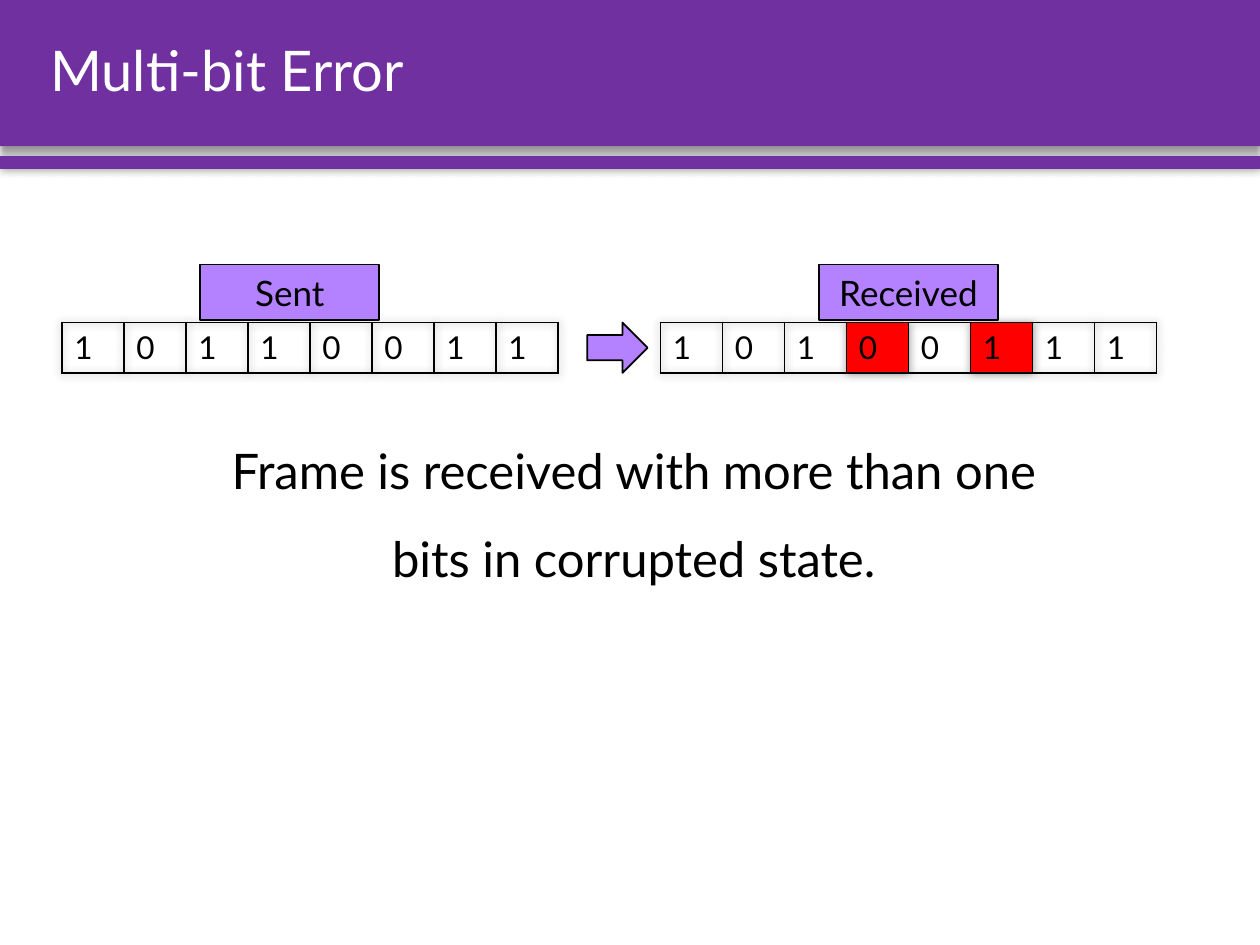
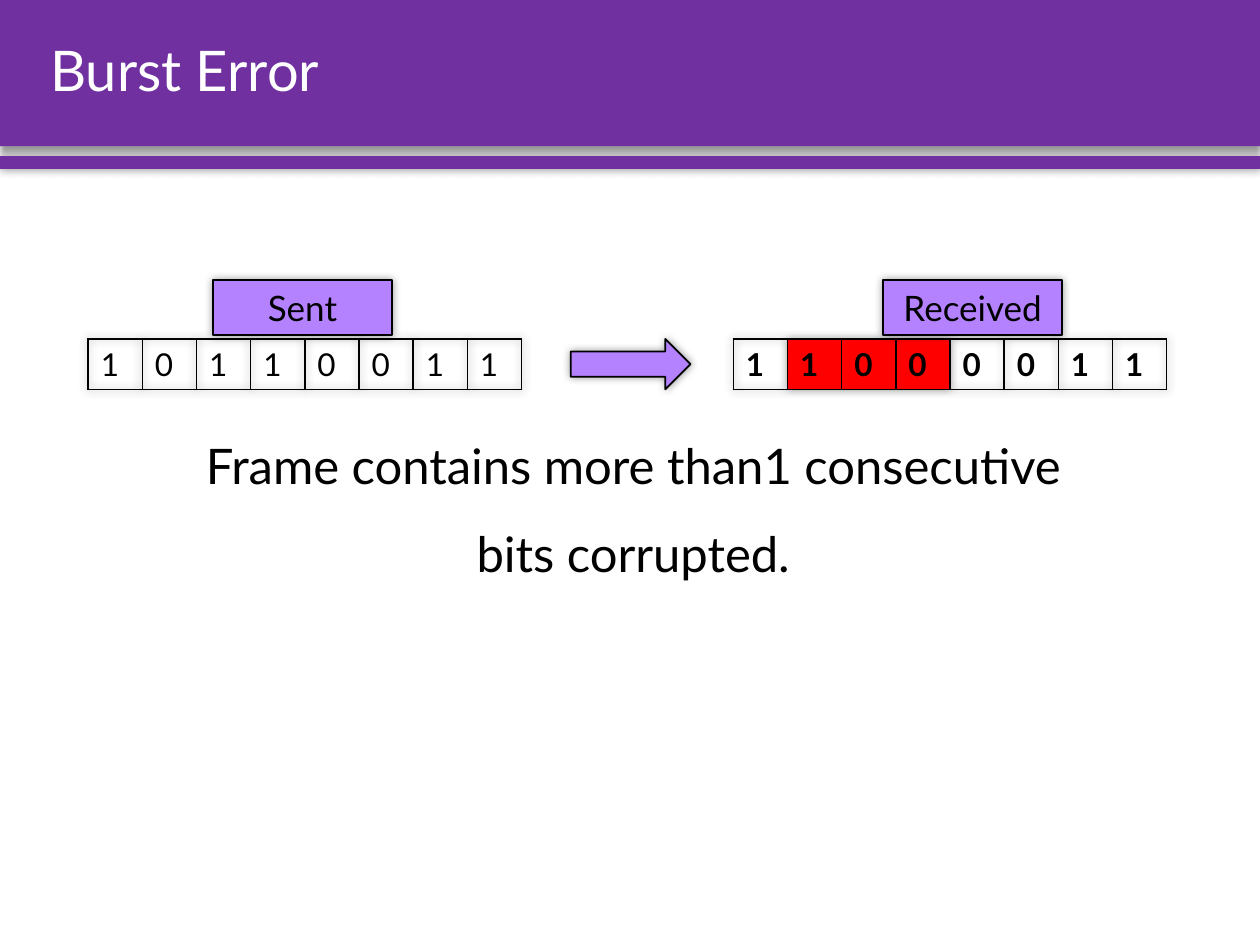
from lxml import etree
from pptx import Presentation
from pptx.dml.color import RGBColor
from pptx.enum.shapes import MSO_SHAPE
from pptx.enum.text import MSO_ANCHOR, PP_ALIGN
from pptx.oxml import parse_xml
from pptx.oxml.ns import nsdecls, qn
from pptx.util import Inches, Pt

RECTANGLE, ARROW = MSO_SHAPE.RECTANGLE, MSO_SHAPE.RIGHT_ARROW
LEFT, CENTER = PP_ALIGN.LEFT, PP_ALIGN.CENTER
TOP, MIDDLE = MSO_ANCHOR.TOP, MSO_ANCHOR.MIDDLE

PURPLE = RGBColor(0x70, 0x30, 0xA0)
LILAC = RGBColor(0xB4, 0x81, 0xFF)
RED = RGBColor(0xFF, 0x00, 0x00)
BLACK = RGBColor(0x00, 0x00, 0x00)
WHITE = RGBColor(0xFF, 0xFF, 0xFF)
FONT = "Lato"

SLIDE_WIDTH, SLIDE_HEIGHT = 10, 7.5
HEADER_HEIGHT = 1.16
STRIPE_TOP, STRIPE_HEIGHT = 1.24, 0.1
ROW_HEIGHT = 0.4
LABEL_WIDTH, LABEL_HEIGHT = 1.42, 0.44

# Shadows: blur and distance in points, direction in degrees
SOFT_SHADOW = (5, 0, 0)
HEADER_SHADOW = (4, 3, 90)

# A frame is: label, label left, table left, bits, corrupted positions, bold
SLIDES = [
    {
        "title": "Multi-bit Error",
        "frames": [
            ("Sent", 1.59, 0.49, "10110011", (), False),
            ("Received", 6.5, 5.24, "10100111", (3, 5), False),
        ],
        "label_top": 2.1, "row_top": 2.56, "bit_width": 0.4925,
        "arrow": (4.66, 0.48), "shadow": None,
        "caption": "Frame is received with more than one bits in corrupted state.",
        "caption_box": (1.4, 3.21, 7.26, 1.44),
    },
    {
        "title": "Burst Error",
        "frames": [
            ("Sent", 1.69, 0.7, "10110011", (), False),
            ("Received", 7.01, 5.82, "11000011", (1, 2, 3), True),
        ],
        "label_top": 2.22, "row_top": 2.69, "bit_width": 0.43,
        "arrow": (4.53, 0.95), "shadow": SOFT_SHADOW,
        "caption": "Frame contains more than1 consecutive bits corrupted.",
        "caption_box": (1.42, 3.17, 7.21, 1.44),
    },
]


def effect_list(blur, distance, direction):
    return parse_xml(
        f'<a:effectLst {nsdecls("a")}><a:outerShdw blurRad="{Pt(blur)}" '
        f'dist="{Pt(distance)}" dir="{direction * 60000}" algn="ctr" rotWithShape="0">'
        '<a:srgbClr val="000000"><a:alpha val="40000"/></a:srgbClr>'
        '</a:outerShdw></a:effectLst>')


def write(frame, text, size, color=BLACK, bold=False, align=LEFT,
          anchor=TOP, spacing=None):
    frame.word_wrap = True
    frame.vertical_anchor = anchor
    paragraph = frame.paragraphs[0]
    paragraph.alignment = align
    paragraph.line_spacing = spacing
    run = paragraph.add_run()
    run.text = text
    run.font.name, run.font.size, run.font.bold = FONT, Pt(size), bold
    run.font.color.rgb = color


def add_text(slide, box, text, size, **text_format):
    textbox = slide.shapes.add_textbox(*map(Inches, box))
    write(textbox.text_frame, text, size, **text_format)


def add_block(slide, kind, box, fill, line=None, shadow=None):
    shape = slide.shapes.add_shape(kind, *map(Inches, box))
    shape.fill.solid()
    shape.fill.fore_color.rgb = fill
    if line is None:
        shape.line.fill.background()
    else:
        shape.line.color.rgb = line
        shape.line.width = Pt(1)
    shape.shadow.inherit = False
    if shadow:
        empty = shape.element.spPr.find(qn("a:effectLst"))
        empty.getparent().replace(empty, effect_list(*shadow))
    return shape


def add_borders(cell):
    properties = cell._tc.get_or_add_tcPr()
    for side in "LRTB":
        border = etree.SubElement(properties, qn(f"a:ln{side}"), w=str(Pt(1)))
        fill = etree.SubElement(border, qn("a:solidFill"))
        etree.SubElement(fill, qn("a:srgbClr"), val=str(BLACK))


def add_bit_row(slide, left, top, bit_width, bits, corrupted, bold):
    """Draw one frame as a one-row table, with corrupted bits in red."""
    table = slide.shapes.add_table(
        1, len(bits), Inches(left), Inches(top),
        Inches(bit_width * len(bits)), Inches(ROW_HEIGHT)).table
    table.first_row = table.horz_banding = False
    table._tbl.tblPr.insert(0, effect_list(*SOFT_SHADOW))
    for position, bit in enumerate(bits):
        table.columns[position].width = Inches(bit_width)
        cell = table.cell(0, position)
        add_borders(cell)
        if position in corrupted:
            cell.fill.solid()
            cell.fill.fore_color.rgb = RED
        else:
            cell.fill.background()
        write(cell.text_frame, bit, 18, bold=bold)


def add_header(slide, title):
    add_block(slide, RECTANGLE, (0, 0, SLIDE_WIDTH, HEADER_HEIGHT), PURPLE,
              shadow=HEADER_SHADOW)
    add_block(slide, RECTANGLE, (0, STRIPE_TOP, SLIDE_WIDTH, STRIPE_HEIGHT), PURPLE,
              shadow=SOFT_SHADOW)
    add_text(slide, (0.3, 0, 9.46, HEADER_HEIGHT), title, 32,
             color=WHITE, anchor=MIDDLE, spacing=0.9)


def build_slide(slide, content):
    add_header(slide, content["title"])
    row_top, shadow = content["row_top"], content["shadow"]
    for label, label_left, row_left, bits, corrupted, bold in content["frames"]:
        add_bit_row(slide, row_left, row_top, content["bit_width"],
                    bits, corrupted, bold)
        box = (label_left, content["label_top"], LABEL_WIDTH, LABEL_HEIGHT)
        shape = add_block(slide, RECTANGLE, box, LILAC, BLACK, shadow)
        write(shape.text_frame, label, 20, align=CENTER, anchor=MIDDLE)
    arrow_left, arrow_width = content["arrow"]
    add_block(slide, ARROW, (arrow_left, row_top, arrow_width, ROW_HEIGHT),
              LILAC, BLACK, shadow)
    add_text(slide, content["caption_box"], content["caption"], 28,
             align=CENTER, spacing=1.5)


def main():
    presentation = Presentation()
    presentation.slide_width = Inches(SLIDE_WIDTH)
    presentation.slide_height = Inches(SLIDE_HEIGHT)
    blank = presentation.slide_layouts[6]
    for content in SLIDES:
        build_slide(presentation.slides.add_slide(blank), content)
    presentation.save("out.pptx")


if __name__ == "__main__":
    main()
